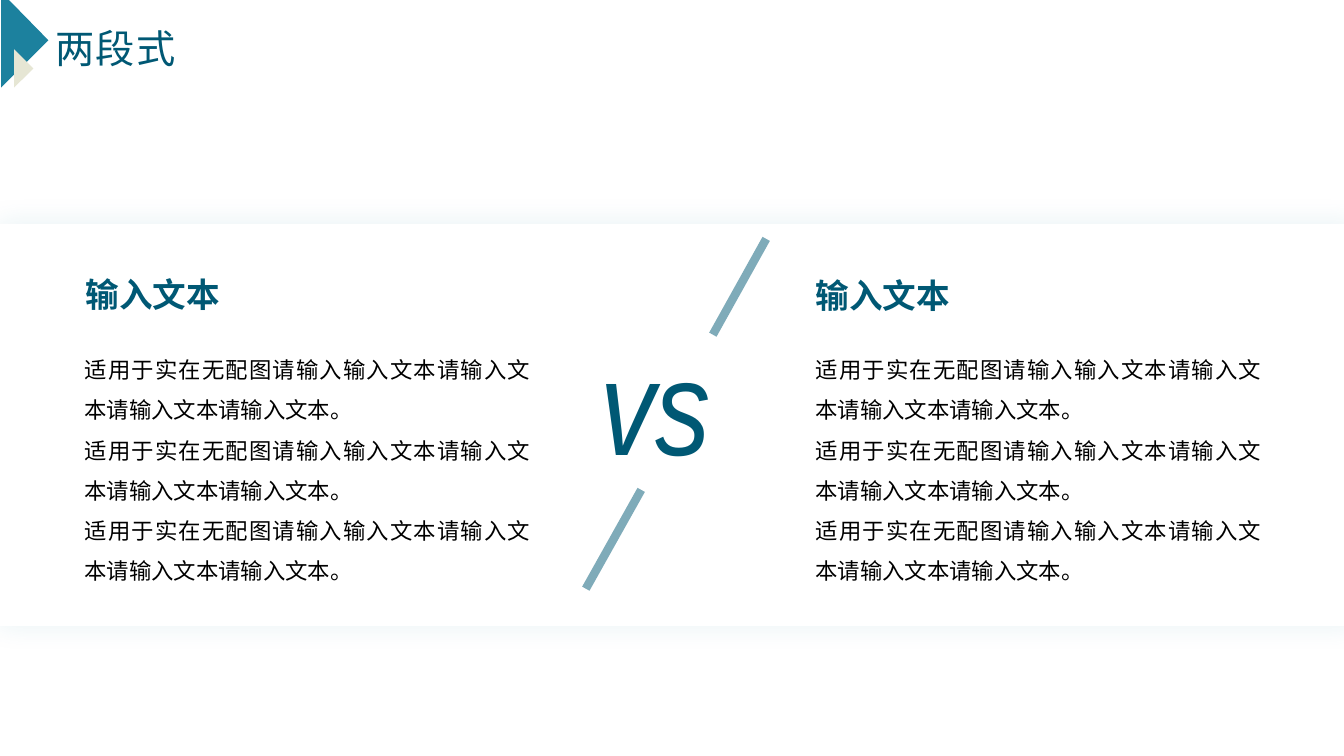
from dataclasses import dataclass

from lxml import etree
from pptx import Presentation
from pptx.dml.color import RGBColor
from pptx.enum.shapes import MSO_CONNECTOR, MSO_SHAPE
from pptx.enum.text import MSO_ANCHOR, PP_ALIGN
from pptx.oxml.ns import qn
from pptx.util import Inches, Pt

STRAIGHT = MSO_CONNECTOR.STRAIGHT
RECTANGLE = MSO_SHAPE.RECTANGLE
TOP, BOTTOM = MSO_ANCHOR.TOP, MSO_ANCHOR.BOTTOM
LEFT, CENTER, JUSTIFY = PP_ALIGN.LEFT, PP_ALIGN.CENTER, PP_ALIGN.JUSTIFY

WIDTH, HEIGHT = Inches(13.33), Inches(7.5)
COLORS = {
    "navy": "005874",
    "teal": "1C819E",
    "sand": "E6E6D4",
    "white": "FFFFFF",
    "black": "000000",
}
CHINESE, NARROW = "Noto Sans CJK SC", "Arial Narrow"
SENTENCE = "适用于实在无配图请输入输入文本请输入文本请输入文本请输入文本。"

Point = tuple[float, float]


# Positions and sizes are percentages of the slide's width and height
@dataclass(frozen=True)
class Area:
    x: float
    y: float
    w: float
    h: float


@dataclass(frozen=True)
class Style:
    size: int
    color: str
    font: str = CHINESE
    bold: bool = False
    italic: bool = False
    tracking: int = 0
    align: PP_ALIGN = LEFT
    line_spacing: float = 1.0
    anchor: MSO_ANCHOR = TOP
    wrap: bool = True
    inset_left: float = 0.1
    inset_bottom: float = 0.05


@dataclass(frozen=True)
class Triangle:
    color: str
    corners: tuple[Point, Point, Point]


@dataclass(frozen=True)
class Slash:
    start: Point
    end: Point


@dataclass(frozen=True)
class Side:
    heading: Area
    body: Area


TITLE = Style(28, "navy", tracking=100, line_spacing=0.9, anchor=BOTTOM, inset_bottom=0)
HEADING = Style(24, "navy", bold=True, line_spacing=1.3)
BODY = Style(16, "black", align=JUSTIFY, line_spacing=1.5)
VERSUS = Style(96, "navy", NARROW, italic=True, align=CENTER, wrap=False, inset_left=0)

BAND = Area(0, 29.6, 100.98, 53.2)
TRIANGLES = (
    Triangle("teal", ((0.08, -1.07), (3.6, 5.33), (0.08, 11.6))),
    Triangle("sand", ((1.05, 6.53), (2.48, 9.07), (1.05, 11.6))),
)
SIDES = (
    Side(Area(5.63, 34, 28.13, 7.6), Area(5.55, 44.67, 34.66, 38.4)),
    Side(Area(59.94, 34.13, 28.36, 7.6), Area(59.94, 44.67, 34.66, 38.4)),
)
SLASHES = (
    Slash((57.01, 31.6), (53.04, 44.27)),
    Slash((47.71, 64.8), (43.59, 77.87)),
)


def across(share: float) -> int:
    return round(WIDTH * share / 100)


def down(share: float) -> int:
    return round(HEIGHT * share / 100)


def place(area: Area) -> tuple[int, int, int, int]:
    return across(area.x), down(area.y), across(area.w), down(area.h)


def rgb(name: str) -> RGBColor:
    return RGBColor.from_string(COLORS[name])


def add_alpha(color_element, percent: int) -> None:
    etree.SubElement(color_element, qn("a:alpha"), val=str(percent * 1000))


def paint(shape, color: str) -> None:
    shape.shadow.inherit = False
    shape.fill.solid()
    shape.fill.fore_color.rgb = rgb(color)
    shape.line.fill.background()


def draw_triangle(slide, triangle: Triangle) -> None:
    first, *others = [(across(x), down(y)) for x, y in triangle.corners]
    builder = slide.shapes.build_freeform(*first)
    builder.add_line_segments(others, close=True)
    paint(builder.convert_to_shape(), triangle.color)


def draw_band(slide) -> None:
    band = slide.shapes.add_shape(RECTANGLE, *place(BAND))
    paint(band, "white")
    # Soft teal glow around the band
    effects = band._element.spPr.find(qn("a:effectLst"))
    glow = etree.SubElement(effects, qn("a:outerShdw"), blurRad=str(Pt(20)),
                            dist="0", dir="0", algn="ctr", rotWithShape="0")
    tint = etree.SubElement(glow, qn("a:srgbClr"), val=COLORS["teal"])
    add_alpha(tint, 10)


def draw_text(slide, area: Area, paragraphs: list[str], style: Style) -> None:
    frame = slide.shapes.add_textbox(*place(area)).text_frame
    frame.word_wrap = style.wrap
    frame.vertical_anchor = style.anchor
    frame.margin_left, frame.margin_right = Inches(style.inset_left), Inches(0.1)
    frame.margin_top, frame.margin_bottom = Inches(0.05), Inches(style.inset_bottom)
    for index, words in enumerate(paragraphs):
        paragraph = frame.add_paragraph() if index else frame.paragraphs[0]
        paragraph.alignment = style.align
        paragraph.line_spacing = style.line_spacing
        run = paragraph.add_run()
        run.text = words
        run.font.size = Pt(style.size)
        run.font.bold, run.font.italic = style.bold, style.italic
        run.font.color.rgb = rgb(style.color)
        run.font.name = style.font
        properties = run._r.get_or_add_rPr()
        etree.SubElement(properties, qn("a:ea"), typeface=style.font)
        if style.tracking:
            properties.set("spc", str(style.tracking))


def draw_slash(slide, slash: Slash) -> None:
    (x1, y1), (x2, y2) = slash.start, slash.end
    stroke = slide.shapes.add_connector(STRAIGHT, across(x1), down(y1), across(x2), down(y2))
    stroke.line.width = Pt(6)
    stroke.line.color.rgb = rgb("navy")
    properties = stroke._element.spPr
    add_alpha(properties.find(".//" + qn("a:srgbClr")), 50)
    etree.SubElement(properties, qn("a:effectLst"))


def main() -> None:
    deck = Presentation()
    deck.slide_width, deck.slide_height = WIDTH, HEIGHT
    slide = deck.slides.add_slide(deck.slide_layouts[6])

    # Corner ornament and title
    for triangle in TRIANGLES:
        draw_triangle(slide, triangle)
    draw_text(slide, Area(3.38, 1.87, 59.71, 7.6), ["两段式"], TITLE)

    # Band with the two sides
    draw_band(slide)
    for side in SIDES:
        draw_text(slide, side.heading, ["输入文本"], HEADING)
        draw_text(slide, side.body, [SENTENCE] * 3, BODY)

    # Versus mark between the slashes
    draw_text(slide, Area(44.19, 41.87, 9.9, 22.93), ["vs"], VERSUS)
    for slash in SLASHES:
        draw_slash(slide, slash)

    deck.save("out.pptx")


if __name__ == "__main__":
    main()
